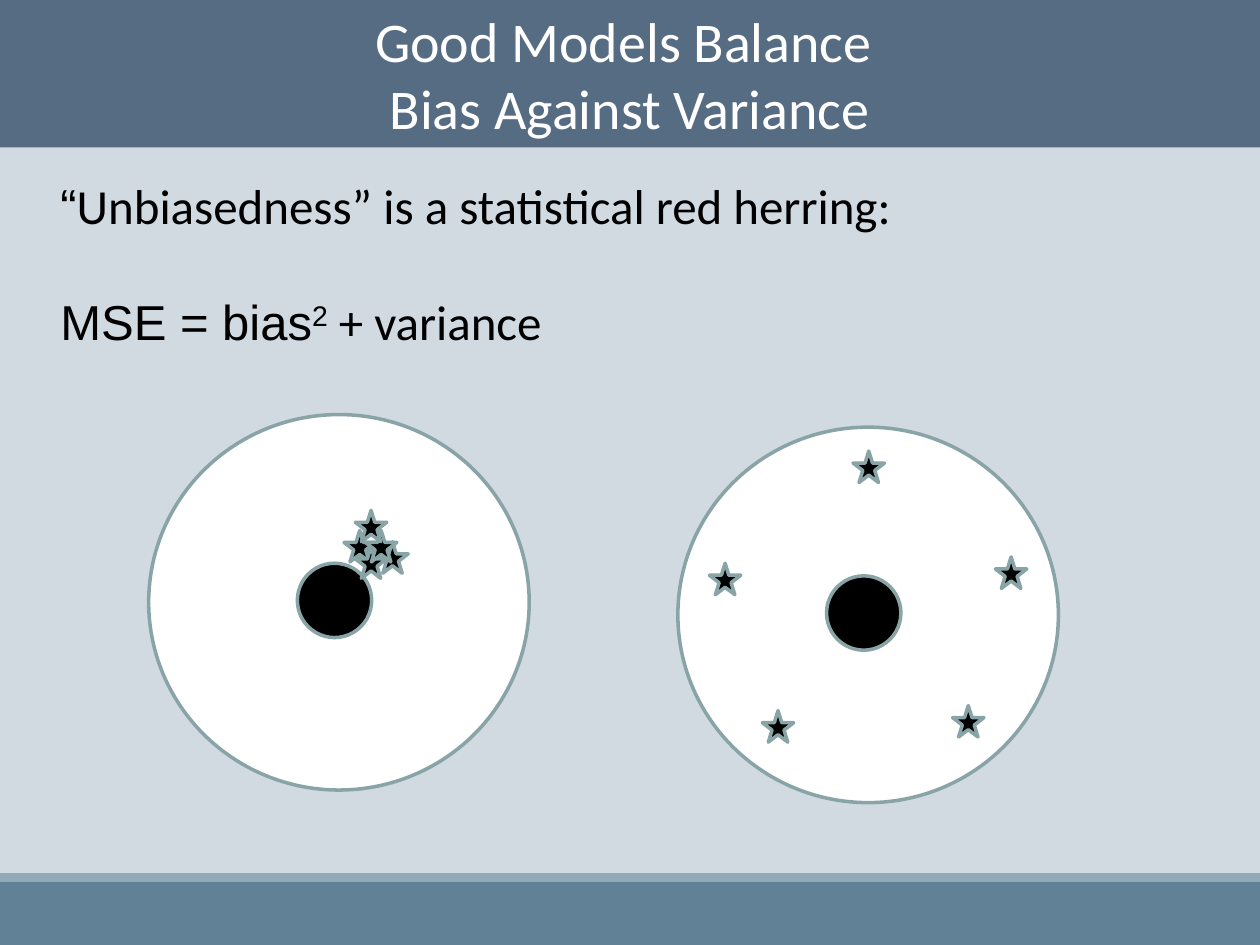
from dataclasses import dataclass

from lxml import etree
from pptx import Presentation
from pptx import util as u
from pptx.dml.color import RGBColor
from pptx.enum import shapes, text
from pptx.oxml import ns

COLORS = {
    "background": "D1D9E1",
    "banner": "566C83",
    "footer": "618197",
    "footer_edge": "92A9B9",
    "outline": "89A4A7",
    "white": "FFFFFF",
    "black": "000000",
}
RING_WIDTH, RING_HEIGHT = 3.02, 2.98
BULLSEYE_SIZE, BULLSEYE_OFFSET = 0.59, 1.18
STAR_SIZE = 0.25


@dataclass(frozen=True)
class Target:
    left: float
    top: float
    stars: tuple[tuple[float, float], ...]


TARGETS = (
    Target(1.18, 3.29, ((2.73, 4.21), (2.82, 4.34), (2.99, 4.3),
                        (2.9, 4.21), (2.82, 4.05))),
    Target(5.38, 3.39, ((7.56, 5.6), (6.05, 5.64), (7.9, 4.42),
                        (5.63, 4.47), (6.77, 3.58))),
)


def color(name: str) -> RGBColor:
    return RGBColor.from_string(COLORS[name])


def place(shape, left: float, top: float, width: float, height: float) -> None:
    shape.left, shape.top = u.Inches(left), u.Inches(top)
    shape.width, shape.height = u.Inches(width), u.Inches(height)


def add_figure(parent, kind, left: float, top: float, width: float, height: float,
               fill: str, line: str | None = None):
    figure = parent.shapes.add_shape(kind, u.Inches(left), u.Inches(top),
                                     u.Inches(width), u.Inches(height))
    figure.shadow.inherit = False
    figure.fill.solid()
    figure.fill.fore_color.rgb = color(fill)
    if line:
        figure.line.color.rgb = color(line)
        figure.line.width = u.Pt(2)
    else:
        figure.line.fill.background()
    return figure


def add_span(para, wording: str, *, size: float, font: str = "Calibri",
             ink: str = "black", baseline: int = 0) -> None:
    span = para.add_run()
    span.text = wording
    span.font.name = font
    span.font.size = u.Pt(size)
    span.font.color.rgb = color(ink)
    if baseline:
        span._r.get_or_add_rPr().set("baseline", str(baseline * 1000))


def prepare_frame(box, anchor):
    frame = box.text_frame
    frame.word_wrap = True
    frame.auto_size = text.MSO_AUTO_SIZE.NONE
    frame.vertical_anchor = anchor
    frame.margin_left = frame.margin_right = u.Inches(0.1)
    frame.margin_top = frame.margin_bottom = u.Inches(0.05)
    return frame


def remove_bullet(para) -> None:
    properties = para._p.get_or_add_pPr()
    properties.set("marL", "0")
    properties.set("indent", "0")
    etree.SubElement(properties, ns.qn("a:buNone"))


def write_title(title) -> None:
    place(title, 0, 0, 10, 1.17)
    title.fill.solid()
    title.fill.fore_color.rgb = color("banner")
    frame = prepare_frame(title, text.MSO_ANCHOR.MIDDLE)
    for index, wording in enumerate(("Good Models Balance ", "Bias Against Variance")):
        para = frame.add_paragraph() if index else frame.paragraphs[0]
        para.alignment = text.PP_ALIGN.CENTER
        add_span(para, wording, size=32, ink="white")


def write_body(body) -> None:
    place(body, 0.38, 1.34, 8.48, 1.51)
    frame = prepare_frame(body, text.MSO_ANCHOR.TOP)
    claim, formula = frame.paragraphs[0], frame.add_paragraph()
    for para, gap in ((claim, 0), (formula, 33)):
        para.space_before = u.Pt(gap)
        remove_bullet(para)
    add_span(claim, "“", size=28, font="Arial")
    add_span(claim, "Unbiasedness” is a statistical red herring:", size=28)
    add_span(formula, "MSE = bias", size=28, font="Arial")
    add_span(formula, "2", size=28, font="Arial", baseline=30)
    add_span(formula, " + variance", size=28)


def draw_target(page, target: Target) -> None:
    group = page.shapes.add_group_shape()
    kinds = shapes.MSO_SHAPE
    add_figure(group, kinds.OVAL, target.left, target.top,
               RING_WIDTH, RING_HEIGHT, "white", "outline")
    add_figure(group, kinds.OVAL, target.left + BULLSEYE_OFFSET,
               target.top + BULLSEYE_OFFSET, BULLSEYE_SIZE, BULLSEYE_SIZE,
               "black", "outline")
    for left, top in target.stars:
        add_figure(group, kinds.STAR_5_POINT, left, top, STAR_SIZE, STAR_SIZE,
                   "black", "outline")


def main() -> None:
    deck = Presentation()
    deck.slide_width, deck.slide_height = u.Inches(10), u.Inches(7.5)
    page = deck.slides.add_slide(deck.slide_layouts[1])
    page.background.fill.solid()
    page.background.fill.fore_color.rgb = color("background")
    add_figure(page, shapes.MSO_SHAPE.RECTANGLE, 0, 7, 10, 0.5, "footer")
    add_figure(page, shapes.MSO_SHAPE.RECTANGLE, 0, 6.93, 10, 0.07, "footer_edge")
    write_title(page.shapes.title)
    write_body(page.placeholders[1])
    for target in TARGETS:
        draw_target(page, target)
    deck.save("out.pptx")


if __name__ == "__main__":
    main()
